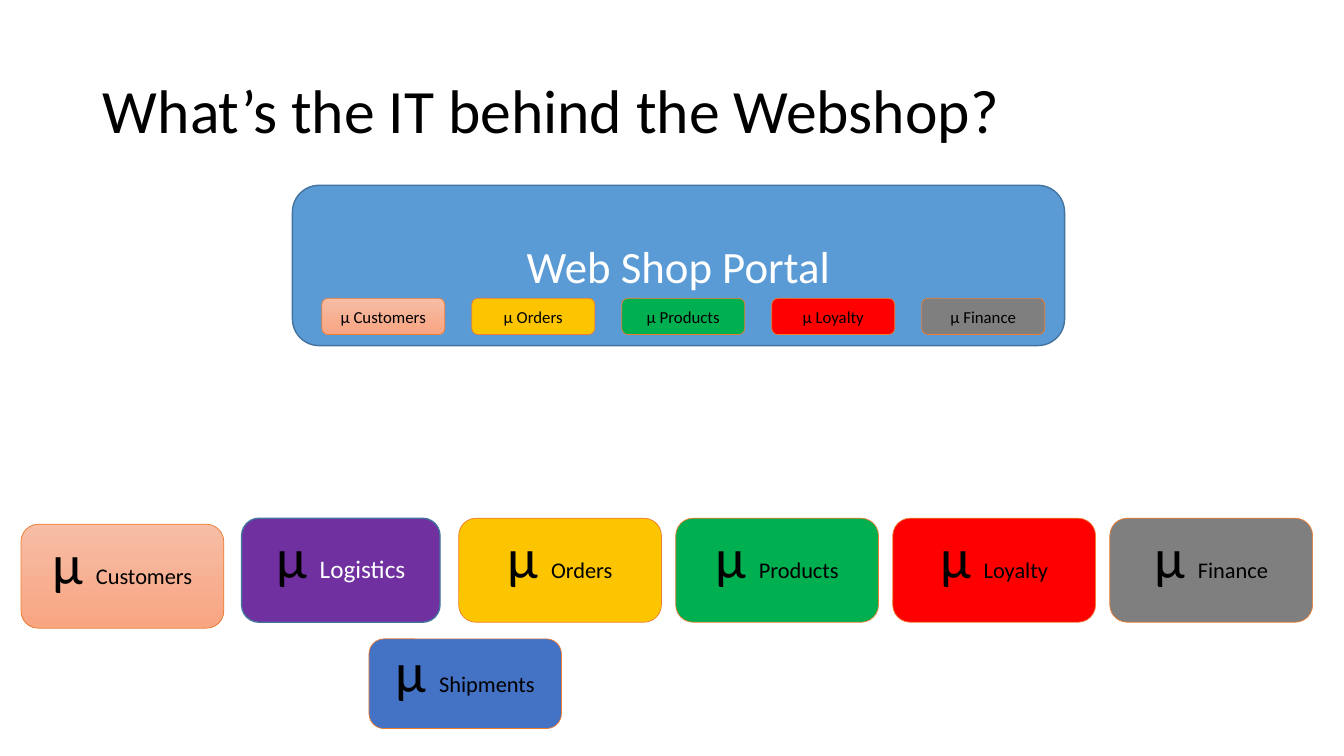
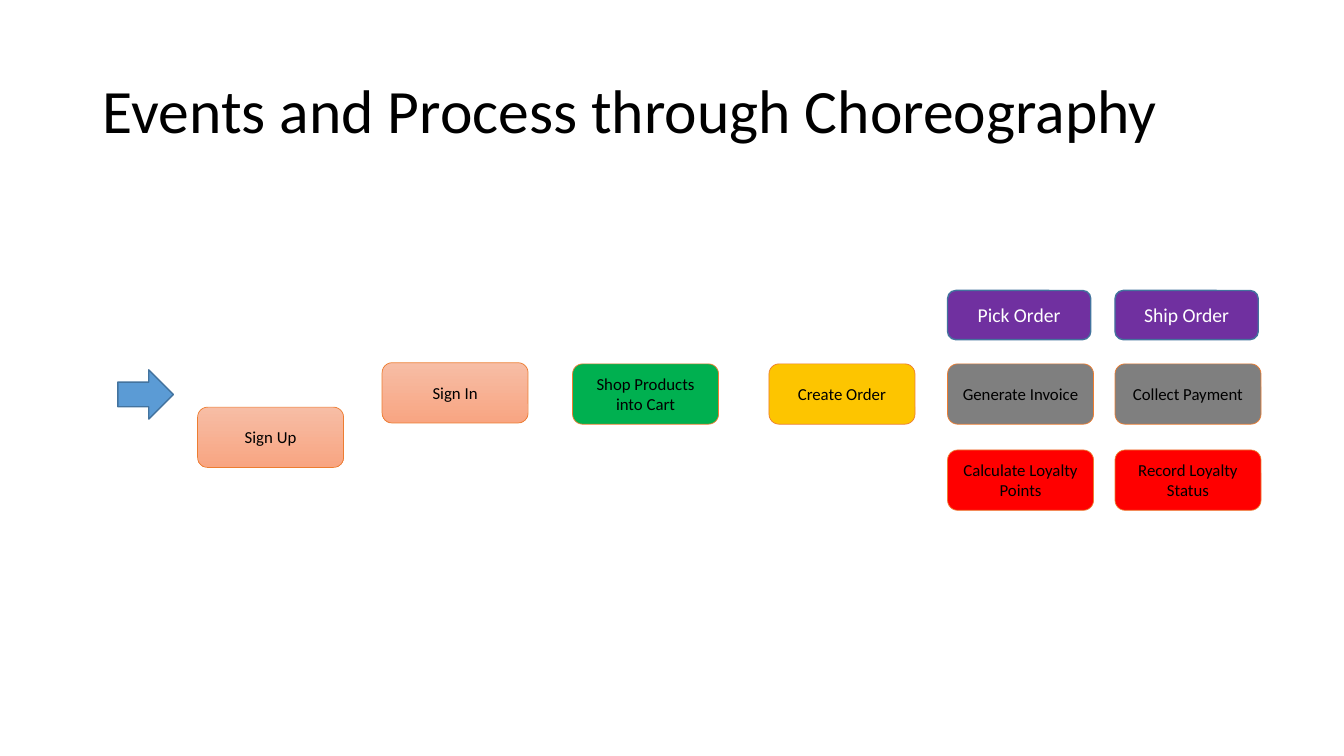
from pptx import Presentation
from pptx import util as u
from pptx.dml.color import RGBColor
from pptx.enum import shapes, text

FONT = "Calibri"
BLACK = RGBColor(0x00, 0x00, 0x00)
WHITE = RGBColor(0xFF, 0xFF, 0xFF)
BLUE = RGBColor(0x5B, 0x9B, 0xD5)
NAVY = RGBColor(0x43, 0x73, 0x9E)
ORANGE = RGBColor(0xED, 0x7D, 0x31)
PEACH = [RGBColor(0xF7, 0xBD, 0xA5), RGBColor(0xF8, 0xA5, 0x82)]
GOLD = RGBColor(0xFD, 0xC5, 0x00)
GREEN = RGBColor(0x00, 0xB0, 0x50)
RED = RGBColor(0xFF, 0x00, 0x00)
GRAY = RGBColor(0x7F, 0x7F, 0x7F)
PURPLE = RGBColor(0x70, 0x30, 0xA0)
INDIGO = RGBColor(0x44, 0x72, 0xC4)

# Each business domain keeps its colour on both slides
DOMAINS = {"Customers": PEACH, "Logistics": PURPLE, "Orders": GOLD,
           "Products": GREEN, "Loyalty": RED, "Finance": GRAY,
           "Shipments": INDIGO}


def write(par, words, size=12, color=BLACK):
    """Add one formatted run to a paragraph."""
    run = par.add_run()
    run.text = words
    font = run.font
    font.name, font.size, font.color.rgb = FONT, u.Pt(size), color


def block(slide, box, fill, kind=shapes.MSO_SHAPE.ROUNDED_RECTANGLE):
    """Draw a filled shape; blue and purple ones have a navy edge."""
    shape = slide.shapes.add_shape(kind, *map(u.Cm, box))
    shape.shadow.inherit = False
    if fill is PEACH:
        shape.fill.gradient()
        shape.fill.gradient_angle = 270
        for stop, tone in zip(shape.fill.gradient_stops, fill):
            stop.color.rgb = tone
    else:
        shape.fill.solid()
        shape.fill.fore_color.rgb = fill
    strong = fill in (BLUE, PURPLE)
    shape.line.color.rgb = NAVY if strong else ORANGE
    shape.line.width = u.Pt(1 if strong else 0.5)
    frame = shape.text_frame
    frame.word_wrap = True
    frame.vertical_anchor = text.MSO_ANCHOR.MIDDLE
    frame.paragraphs[0].alignment = text.PP_ALIGN.CENTER
    return shape


def label(slide, box, fill, words, **style):
    """Draw a block with one line of text."""
    write(block(slide, box, fill).text_frame.paragraphs[0], words, **style)


def start(deck, words):
    """Add a slide with its title."""
    slide = deck.slides.add_slide(deck.slide_layouts[5])
    title = slide.shapes.title
    title.left, title.top = u.Cm(2.34), u.Cm(1.02)
    title.width, title.height = u.Cm(29.21), u.Cm(3.68)
    title.text_frame.vertical_anchor = text.MSO_ANCHOR.MIDDLE
    par = title.text_frame.paragraphs[0]
    par.alignment, par.line_spacing = text.PP_ALIGN.LEFT, 0.9
    write(par, words, size=44)
    return slide


def service(slide, box, name):
    """Draw a microservice, its text raised above the middle."""
    frame = block(slide, box, DOMAINS[name]).text_frame
    frame.margin_top, frame.margin_bottom = 0, u.Cm(0.69)
    par = frame.paragraphs[0]
    write(par, "µ ", size=40)
    if name == "Logistics":
        write(par, name, size=18, color=WHITE)
    else:
        write(par, name, size=16)


def portal(slide, box):
    """Draw the portal with a row of small service tags."""
    left, top = box[:2]
    label(slide, box, BLUE, "Web Shop Portal", size=32, color=WHITE)
    names = ("Customers", "Orders", "Products", "Loyalty", "Finance")
    for col, name in enumerate(names):
        tag = (left + 0.74 + col * 3.78, top + 2.85, 3.1, 0.91)
        label(slide, tag, DOMAINS[name], "µ " + name)


def backend(slide, left, top):
    """Draw the row of services and the one below it."""
    service(slide, (left, top + 0.15, 5.11, 2.62), "Customers")
    names = ("Logistics", "Orders", "Products", "Loyalty", "Finance")
    for col, name in enumerate(names):
        wide = 5 if name == "Logistics" else 5.11
        service(slide, (left + 5.56 + col * 5.47, top, wide, 2.62), name)
    service(slide, (left + 8.77, top + 3.04, 4.85, 2.26), "Shipments")


def flow(slide, left, top):
    """Draw the ordering steps up to the created order."""
    block(slide, (left, top + 0.18, 1.4, 1.24), BLUE,
          shapes.MSO_SHAPE.RIGHT_ARROW)
    steps = (("Sign Up", "Customers", 2.01, 1.12),
             ("Sign In", "Customers", 6.66, 0),
             ("Shop Products into Cart", "Products", 11.46, 0.03),
             ("Create Order", "Orders", 16.41, 0.03))
    for words, name, dx, dy in steps:
        label(slide, (left + dx, top + dy, 3.68, 1.52), DOMAINS[name], words)


def follow(slide, left, top):
    """Draw the grid of steps that follow an order."""
    rows = (("Logistics", 0, ("Pick Order", "Ship Order")),
            ("Finance", 1.85, ("Generate Invoice", "Collect Payment")),
            ("Loyalty", 4.02, ("Calculate Loyalty Points",
                               "Record Loyalty Status")))
    for name, dy, steps in rows:
        size, style = (3.68, 1.52), {}
        if name == "Logistics":
            size, style = (3.61, 1.24), {"size": 14, "color": WHITE}
        for col, words in enumerate(steps):
            box = (left + col * 4.22, top + dy, *size)
            label(slide, box, DOMAINS[name], words, **style)


def main():
    deck = Presentation()
    deck.slide_width, deck.slide_height = u.Cm(33.87), u.Cm(19.05)

    shop = start(deck, "What’s the IT behind the Webshop?")
    backend(shop, 0.53, 13.06)
    portal(shop, (7.37, 4.67, 19.46, 4.04))

    events = start(deck, "Events and Process through Choreography")
    flow(events, 2.97, 9.14)
    follow(events, 23.88, 7.32)

    deck.save("out.pptx")


if __name__ == "__main__":
    main()
